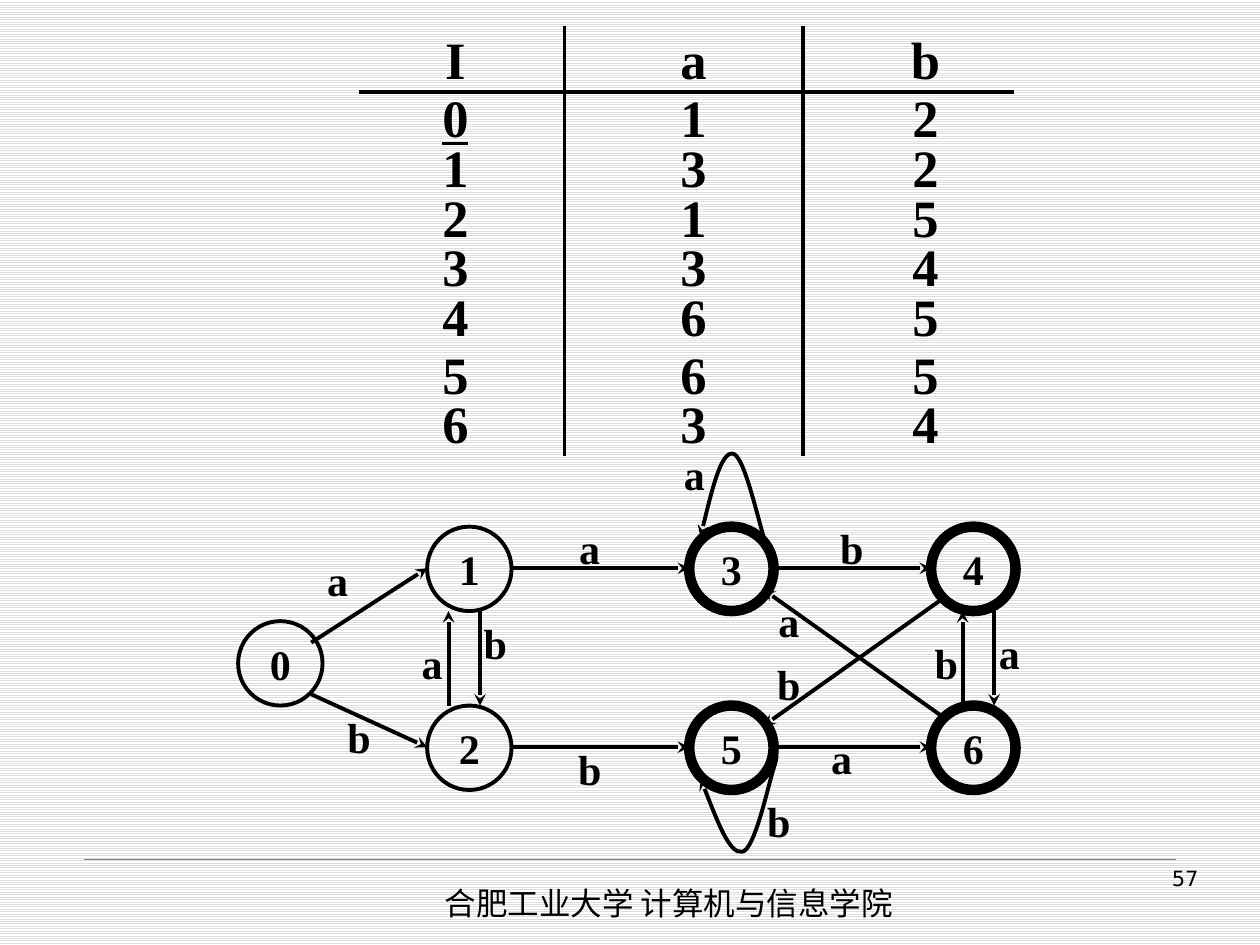
import pptx
import pptx.dml.color
import pptx.enum.dml
import pptx.enum.shapes
import pptx.enum.text
import pptx.oxml
import pptx.oxml.ns
import pptx.util
from pptx.util import Inches

BLACK = pptx.dml.color.RGBColor(0x00, 0x00, 0x00)
WHITE = pptx.dml.color.RGBColor(0xFF, 0xFF, 0xFF)
STRIPE = pptx.dml.color.RGBColor(0xDD, 0xDD, 0xDD)
GRAY = pptx.dml.color.RGBColor(0x80, 0x80, 0x80)
SERIF = "Times New Roman"
ALIGN = pptx.enum.text.PP_ALIGN
ANCHOR = pptx.enum.text.MSO_ANCHOR

TRANSITIONS = [
    ("I", "a", "b"),
    ("0", "1", "2"),
    ("1", "3", "2"),
    ("2", "1", "5"),
    ("3", "3", "4"),
    ("4", "6", "5"),
    ("5", "6", "5"),
    ("6", "3", "4"),
]
COLUMN_LEFTS = [2.8, 4.69, 6.53]
ROW_TOPS = [0.27, 0.73, 1.13, 1.52, 1.91, 2.31, 2.77, 3.16]
CELL_SIZE = (1.63, 0.39)
TABLE_RULES = [(2.85, 0.73, 8.05, 0.73), (4.48, 0.21, 4.48, 3.62), (6.37, 0.21, 6.37, 3.62)]

DIAMETER = 0.67
UPPER, LOWER = 4.18, 5.6
STATES = [
    ("0", 1.89, 4.93, False),
    ("1", 3.39, UPPER, False),
    ("2", 3.39, LOWER, False),
    ("3", 5.47, UPPER, True),
    ("5", 5.47, LOWER, True),
    ("4", 7.39, UPPER, True),
    ("6", 7.39, LOWER, True),
]
EDGES = [
    ((2.47, 5.1, 3.39, 4.51), "a", 2.39, 4.35),
    ((4.06, 4.51, 5.47, 4.51), "a", 4.39, 4.1),
    ((6.14, 4.51, 7.39, 4.51), "b", 6.47, 4.1),
    ((2.47, 5.51, 3.39, 5.93), "b", 2.56, 5.6),
    ((4.06, 5.93, 5.47, 5.93), "b", 4.39, 5.85),
    ((6.14, 5.93, 7.39, 5.93), "a", 6.39, 5.76),
    ((3.81, 4.85, 3.81, 5.6), "b", 3.64, 4.85),
    ((3.56, 5.6, 3.56, 4.85), "a", 3.14, 5.01),
    ((7.64, 5.6, 7.64, 4.85), "b", 7.22, 5.01),
    ((7.89, 4.85, 7.89, 5.6), "a", 7.72, 4.93),
    ((7.47, 4.76, 6.06, 5.76), "b", 5.97, 5.18),
    ((7.47, 5.68, 6.06, 4.68), "a", 5.97, 4.68),
]
LOOPS = [
    ([(6.06, 4.26), (5.97, 3.93), (5.89, 3.6), (5.81, 3.6),
      (5.72, 3.6), (5.64, 3.93), (5.56, 4.26)], "a", 5.22, 3.51),
    ([(6.14, 6.01), (6.16, 5.99), (6.18, 5.97), (6.14, 6.1), (6.1, 6.22), (5.99, 6.75),
      (5.89, 6.76), (5.79, 6.78), (5.68, 6.48), (5.56, 6.18)], "b", 5.89, 6.26),
]
LABEL_SIZE = (0.58, 0.5)

CENTERED = {"word_wrap": False, "vertical_anchor": ANCHOR.MIDDLE}
WRAPPED = {"word_wrap": True, "vertical_anchor": ANCHOR.TOP}
CELL_FONT = {"name": SERIF, "size": pptx.util.Pt(30), "bold": True}
GRAPH_FONT = {"name": SERIF, "size": pptx.util.Pt(24), "bold": True}
FOOTER_FONT = {"name": "Noto Sans CJK SC", "size": pptx.util.Pt(18)}
NUMBER_FONT = {"name": "DejaVu Sans", "size": pptx.util.Pt(12)}


def apply(target, values):
    for name, value in values.items():
        setattr(target, name, value)


def write(shape, text, font, frame=CENTERED, align=ALIGN.CENTER):
    apply(shape.text_frame, frame)
    para = shape.text_frame.paragraphs[0]
    para.alignment = align
    span = para.add_run()
    span.text = text
    apply(span.font, font)
    span.font.color.rgb = BLACK
    east_asian = pptx.oxml.parse_xml(
        f'<a:ea {pptx.oxml.ns.nsdecls("a")} typeface="{font["name"]}"/>')
    span.font._element.find(pptx.oxml.ns.qn("a:latin")).addnext(east_asian)
    return span


def add_text(page, place, text, font, **layout):
    box = page.shapes.add_textbox(*map(Inches, place))
    return write(box, text, font, **layout)


def stroke(shape, width=2.25, color=BLACK, arrow=False):
    apply(shape.line, {"width": pptx.util.Pt(width)})
    shape.line.color.rgb = color
    if arrow:
        shape.line._get_or_add_ln().append(pptx.oxml.parse_xml(
            f'<a:tailEnd {pptx.oxml.ns.nsdecls("a")} type="stealth"/>'))


def add_line(page, ends, **style):
    line = page.shapes.add_connector(
        pptx.enum.shapes.MSO_CONNECTOR.STRAIGHT, *map(Inches, ends))
    stroke(line, **style)
    line._element.spPr.append(pptx.oxml.parse_xml(
        f'<a:effectLst {pptx.oxml.ns.nsdecls("a")}/>'))


def add_state(page, name, left, top, accepting):
    circle = page.shapes.add_shape(
        pptx.enum.shapes.MSO_SHAPE.OVAL, *map(Inches, (left, top, DIAMETER, DIAMETER)))
    circle.shadow.inherit = False
    circle.fill.background()
    stroke(circle, width=6 if accepting else 2.25)
    write(circle, name, GRAPH_FONT)


def add_loop(page, points):
    start, *controls = [(Inches(x), Inches(y)) for x, y in points]
    builder = page.shapes.build_freeform(*start)
    builder.add_line_segments(controls, close=False)
    loop = builder.convert_to_shape()
    loop.shadow.inherit = False
    loop.fill.background()
    stroke(loop, arrow=True)
    outline = next(loop._element.iter(pptx.oxml.ns.qn("a:path")))
    segments = outline.findall(pptx.oxml.ns.qn("a:lnTo"))
    for first in range(0, len(segments), 3):
        curve = pptx.oxml.parse_xml(f'<a:cubicBezTo {pptx.oxml.ns.nsdecls("a")}/>')
        for segment in segments[first:first + 3]:
            curve.append(segment[0])
            outline.remove(segment)
        outline.append(curve)


def main():
    deck = pptx.Presentation()
    apply(deck, {"slide_width": Inches(10), "slide_height": Inches(7.5)})
    page = deck.slides.add_slide(deck.slide_layouts[6])
    backdrop = page.background.fill
    backdrop.patterned()
    backdrop.pattern = pptx.enum.dml.MSO_PATTERN.LIGHT_HORIZONTAL
    backdrop.fore_color.rgb = STRIPE
    backdrop.back_color.rgb = WHITE

    add_line(page, (0.67, 6.82, 9.33, 6.82), width=0.25, color=GRAY)
    add_text(page, (3.43, 6.97, 4.72, 0.4), "合肥工业大学 计算机与信息学院", FOOTER_FONT,
             frame=WRAPPED, align=ALIGN.LEFT)
    add_text(page, (7.44, 6.82, 2.17, 0.52), "57", NUMBER_FONT,
             frame=WRAPPED, align=ALIGN.RIGHT)

    for ends in TABLE_RULES:
        add_line(page, ends)
    for top, row in zip(ROW_TOPS, TRANSITIONS):
        for left, text in zip(COLUMN_LEFTS, row):
            span = add_text(page, (left, top, *CELL_SIZE), text, CELL_FONT)
            if text == "0":
                span.font.underline = True

    for state in STATES:
        add_state(page, *state)
    for ends, *_ in EDGES:
        add_line(page, ends, arrow=True)
    for points, *_ in LOOPS:
        add_loop(page, points)
    for _, label, left, top in EDGES + LOOPS:
        add_text(page, (left, top, *LABEL_SIZE), label, GRAPH_FONT)

    deck.save("out.pptx")


if __name__ == "__main__":
    main()
